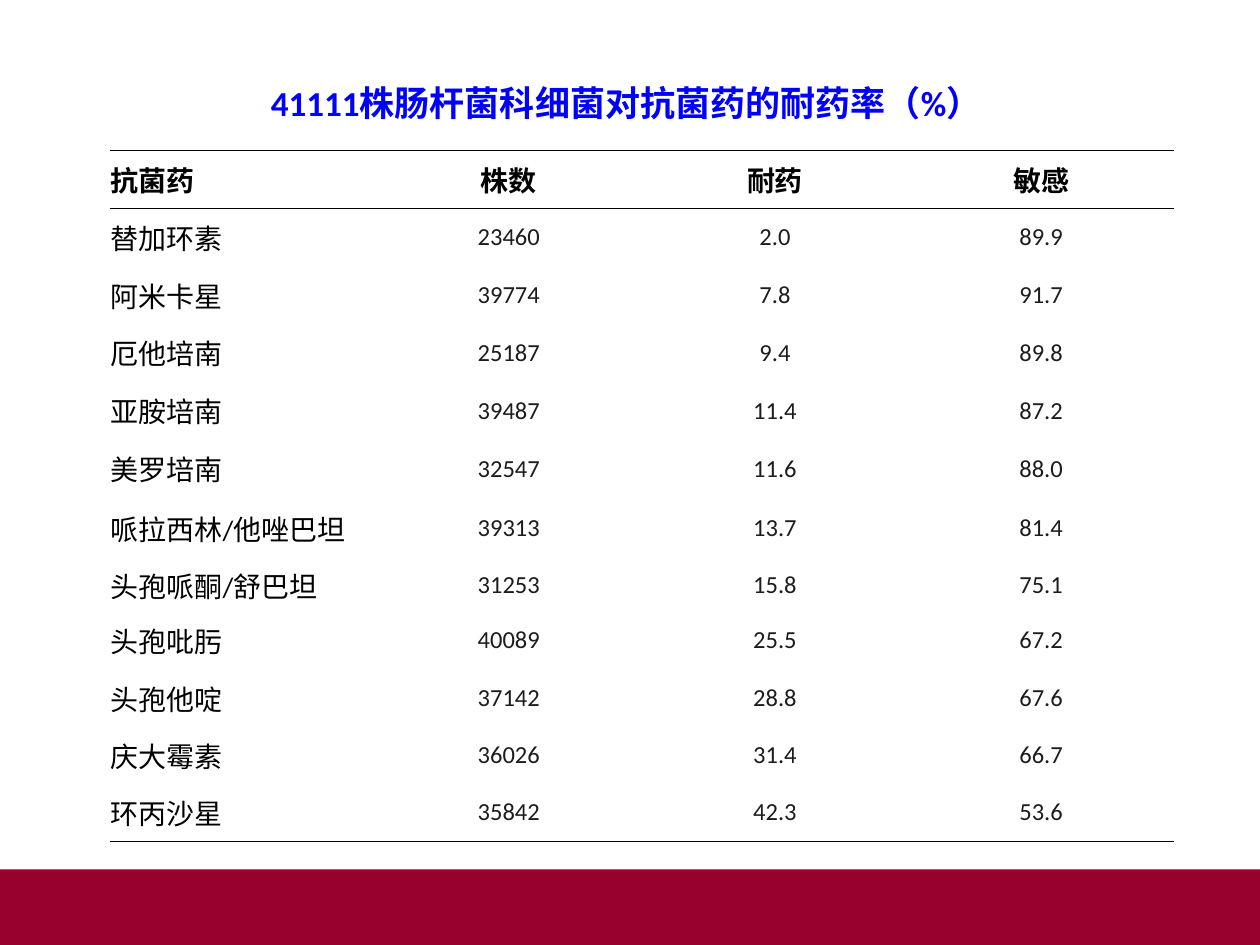
from lxml import etree
from pptx import Presentation
from pptx.dml.color import RGBColor
from pptx.enum import shapes, text
from pptx.oxml import ns
from pptx.util import Inches, Pt

FONT = "Calibri"
CRIMSON = RGBColor(0x98, 0x00, 0x2E)
BLUE = RGBColor(0x00, 0x00, 0xFF)
BLACK = RGBColor(0x00, 0x00, 0x00)
CHARCOAL = RGBColor(0x1C, 0x1C, 0x1C)

HEADINGS = ("抗菌药", "株数", "耐药", "敏感")
RESISTANCE = [
    ("替加环素", "23460", "2.0", "89.9"),
    ("阿米卡星", "39774", "7.8", "91.7"),
    ("厄他培南", "25187", "9.4", "89.8"),
    ("亚胺培南", "39487", "11.4", "87.2"),
    ("美罗培南", "32547", "11.6", "88.0"),
    ("哌拉西林/他唑巴坦", "39313", "13.7", "81.4"),
    ("头孢哌酮/舒巴坦", "31253", "15.8", "75.1"),
    ("头孢吡肟", "40089", "25.5", "67.2"),
    ("头孢他啶", "37142", "28.8", "67.6"),
    ("庆大霉素", "36026", "31.4", "66.7"),
    ("环丙沙星", "35842", "42.3", "53.6"),
]
ROW_HEIGHT = 0.46
SPECIAL_HEIGHTS = {6: 0.48, 7: 0.43, 8: 0.45, 10: 0.45}


def write(paragraph, words, size, color, bold, align):
    paragraph.alignment = align
    run = paragraph.add_run()
    run.text = words
    run.font.name = FONT
    run.font.size = Pt(size)
    run.font.bold = bold
    run.font.color.rgb = color


def rule_cell(cell, ruled_sides):
    """Draw hairlines on the given sides (from "LRTB") and clear the others."""
    properties = cell._tc.get_or_add_tcPr()
    for side in "LRTB":
        line = etree.SubElement(properties, ns.qn(f"a:ln{side}"), w=str(Pt(0.23)))
        if side in ruled_sides:
            fill = etree.SubElement(line, ns.qn("a:solidFill"))
            etree.SubElement(fill, ns.qn("a:srgbClr"), val=str(BLACK))
        else:
            etree.SubElement(line, ns.qn("a:noFill"))


def add_footer_band(slide, left, top, width, height):
    band = slide.shapes.add_shape(shapes.MSO_SHAPE.RECTANGLE, left, top, width, height)
    band.shadow.inherit = False
    band.fill.solid()
    band.fill.fore_color.rgb = CRIMSON
    band.line.fill.background()


def place_title(slide, left, top, width, height):
    title = slide.shapes.title
    title.left, title.top, title.width, title.height = left, top, width, height
    title.text_frame.vertical_anchor = text.MSO_ANCHOR.MIDDLE
    write(title.text_frame.paragraphs[0], "41111株肠杆菌科细菌对抗菌药的耐药率（%）",
          20, BLUE, True, text.PP_ALIGN.CENTER)


def add_resistance_table(slide, left, top, width, height):
    rows = [HEADINGS, *RESISTANCE]
    table = slide.shapes.add_table(len(rows), len(HEADINGS), left, top, width, height).table
    table.first_row = table.horz_banding = False
    last = len(rows) - 1
    ruled_sides = {0: "TB", 1: "T", last: "B"}

    for r, values in enumerate(rows):
        table.rows[r].height = Inches(SPECIAL_HEIGHTS.get(r, ROW_HEIGHT))
        for c, value in enumerate(values):
            cell = table.cell(r, c)
            cell.margin_left = cell.margin_right = Inches(0.01)
            cell.vertical_anchor = text.MSO_ANCHOR.MIDDLE
            rule_cell(cell, ruled_sides.get(r, ""))
            cell.fill.background()
            is_number = r > 0 and c > 0
            write(cell.text_frame.paragraphs[0], value,
                  14 if is_number else 16,
                  CHARCOAL if is_number else BLACK,
                  r == 0,
                  text.PP_ALIGN.CENTER if c else text.PP_ALIGN.LEFT)


def main():
    deck = Presentation()
    deck.slide_width, deck.slide_height = Inches(10), Inches(7.5)
    title_only = deck.slide_layouts[5]
    slide = deck.slides.add_slide(title_only)
    add_footer_band(slide, 0, Inches(6.9), deck.slide_width, Inches(0.6))
    place_title(slide, Inches(0.08), Inches(0.43), Inches(9.78), Inches(0.76))
    add_resistance_table(slide, Inches(0.87), Inches(1.19), Inches(8.45), Inches(5.48))
    deck.save("out.pptx")


if __name__ == "__main__":
    main()
